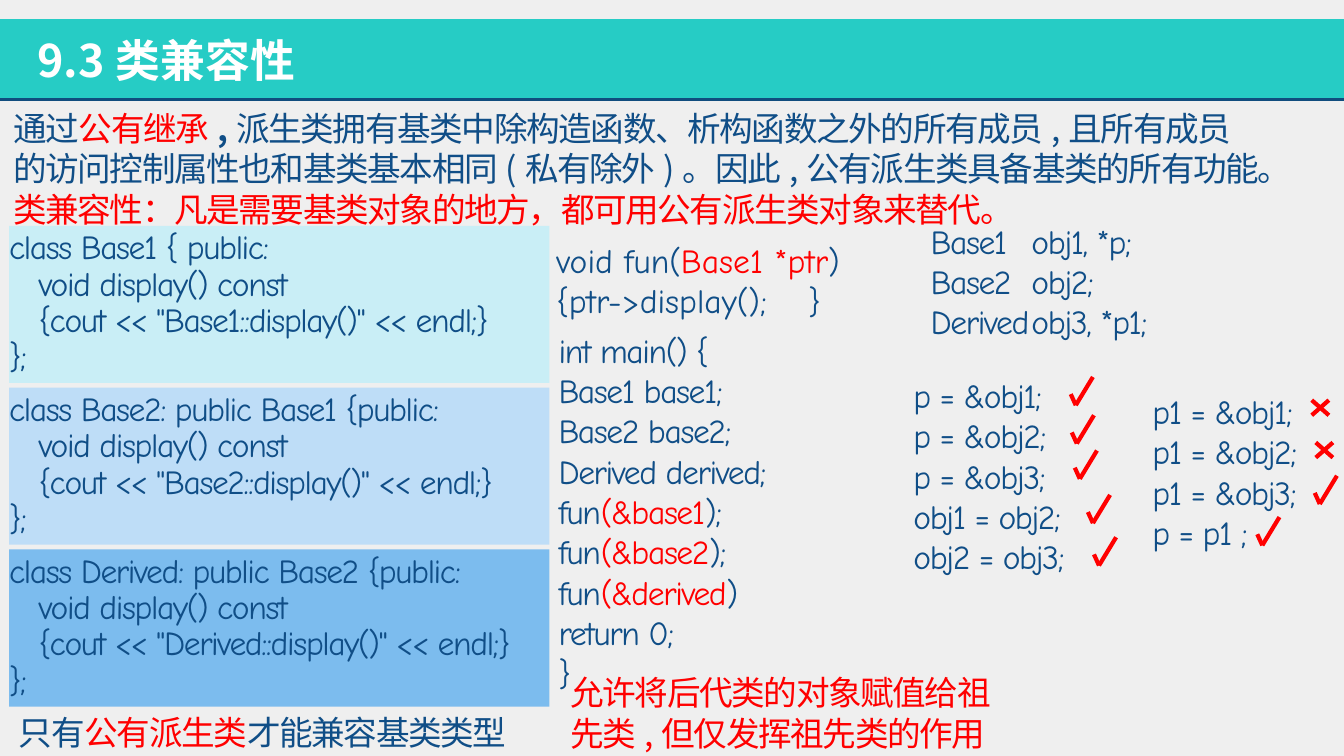
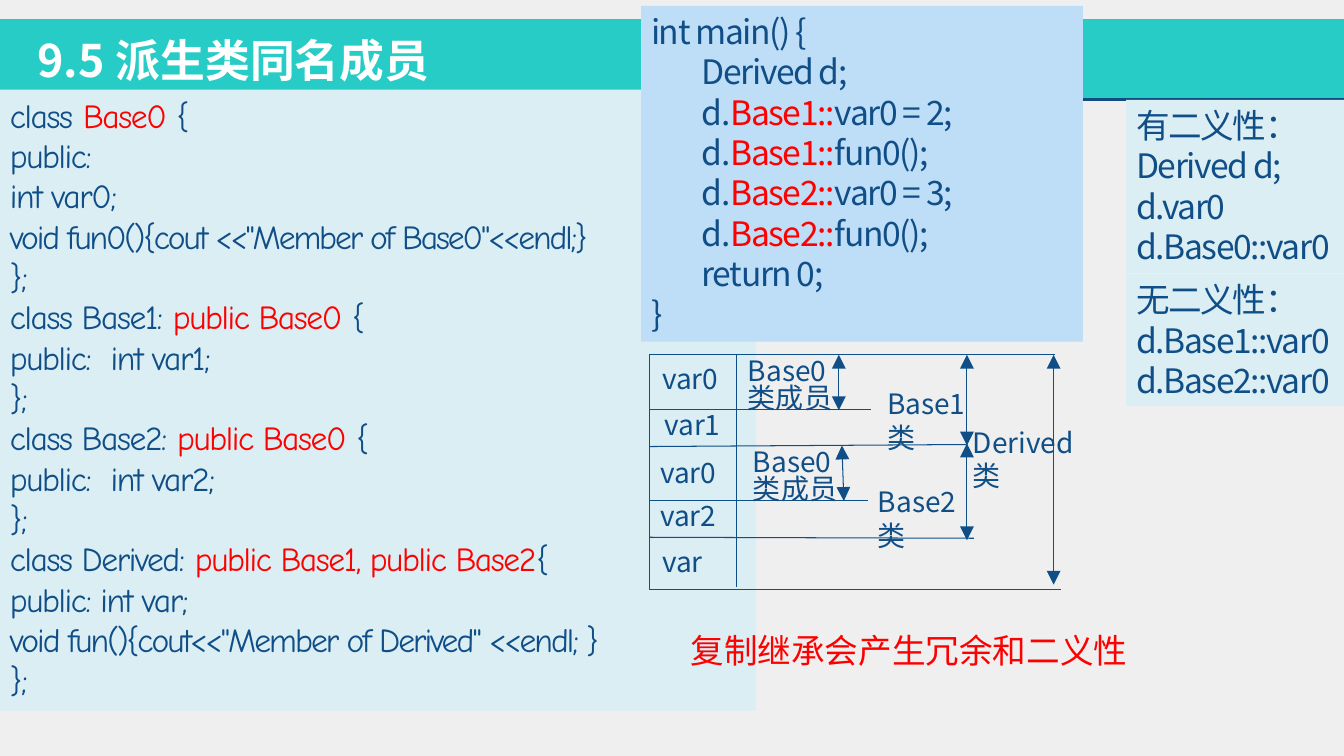
from pptx import Presentation
from pptx.dml.color import RGBColor
from pptx.enum.shapes import MSO_CONNECTOR, MSO_SHAPE
from pptx.enum.text import MSO_ANCHOR, MSO_AUTO_SIZE, PP_ALIGN
from pptx.oxml.ns import qn
from pptx.util import Inches, Pt
from lxml.etree import SubElement

TEAL = RGBColor(0x26, 0xCC, 0xC5)
RULE = RGBColor(0x10, 0x4D, 0x7E)
NAVY = RGBColor(0x10, 0x4E, 0x87)
RED = RGBColor(0xFF, 0x00, 0x00)
WHITE = RGBColor(0xFF, 0xFF, 0xFF)
PAPER = RGBColor(0xEF, 0xEF, 0xEF)
ICE = RGBColor(0xC9, 0xEE, 0xF6)
SKY = RGBColor(0xBE, 0xDD, 0xF7)
BLUE = RGBColor(0x7C, 0xBC, 0xEE)
MIST = RGBColor(0xDB, 0xEE, 0xF4)

CODE = "Comic Neue"
SANS = "Noto Sans CJK JP"
TITLE_ONLY, TITLE_AND_BODY = 5, 1


def box(*lengths):
    return [Inches(v) for v in lengths]


def place(shape, at):
    shape.left, shape.top, shape.width, shape.height = box(*at)


def add_run(p, text, font, size, color, bold, spacing):
    r = p.add_run()
    r.text = text
    r.font.name = font
    r.font.size = Pt(size)
    r.font.bold = bold
    r.font.color.rgb = color
    rPr = r.font._element
    rPr.set("spc", str(round(spacing * 100)))
    ea = SubElement(rPr, qn("a:ea"))
    ea.set("typeface", font)
    rPr.find(qn("a:latin")).addnext(ea)


def split_runs(line):
    if not isinstance(line, str):
        return line
    return [(part, {"color": RED} if i % 2 else {})
            for i, part in enumerate(line.split("|")) if part]


def write(shape, lines, font=CODE, size=24, color=NAVY, bold=False, spacing=-1,
          line_spacing=1.0, margin=0.1, tab=None, anchor=MSO_ANCHOR.TOP):
    tf = shape.text_frame
    tf.word_wrap = True
    tf.auto_size = MSO_AUTO_SIZE.NONE
    tf.vertical_anchor = anchor
    tf.margin_left = tf.margin_right = Inches(margin)
    tf.margin_top = tf.margin_bottom = Inches(0.05)
    for i, line in enumerate(lines):
        p = tf.add_paragraph() if i else tf.paragraphs[0]
        pPr = p._p.get_or_add_pPr()
        pPr.set("marL", "0")
        pPr.set("indent", "0")
        SubElement(pPr, qn("a:buNone"))
        if tab:
            stop = SubElement(SubElement(pPr, qn("a:tabLst")), qn("a:tab"))
            stop.set("pos", str(Inches(tab)))
            stop.set("algn", "l")
        p.alignment = PP_ALIGN.LEFT
        p.space_before = Pt(0)
        p.line_spacing = line_spacing
        base = dict(font=font, size=size, color=color, bold=bold, spacing=spacing)
        for text, change in split_runs(line):
            add_run(p, text, **{**base, **change})


def add_text(shapes, at, lines, **fmt):
    write(shapes.add_textbox(*box(*at)), lines, **fmt)


def add_panel(shapes, at, fill, lines, **fmt):
    panel = shapes.add_shape(MSO_SHAPE.RECTANGLE, *box(*at))
    panel.shadow.inherit = False
    panel.fill.solid()
    panel.fill.fore_color.rgb = fill
    panel.line.fill.background()
    write(panel, lines, **fmt)


def add_line(shapes, start, end, color=NAVY, width=0.75, arrows=False):
    line = shapes.add_connector(MSO_CONNECTOR.STRAIGHT, *box(*start, *end))
    line.line.color.rgb = color
    line.line.width = Pt(width)
    if arrows:
        ln = line.line._get_or_add_ln()
        for tag in ("a:headEnd", "a:tailEnd"):
            head = SubElement(ln, qn(tag))
            head.set("type", "triangle")
            head.set("w", "lg")
            head.set("len", "lg")
    SubElement(line._element.spPr, qn("a:effectLst"))


def add_mark(s, left, top, strokes):
    group = s.shapes.add_group_shape()
    for x1, y1, x2, y2 in strokes:
        add_line(group.shapes, (left + x1, top + y1), (left + x2, top + y2),
                 color=RED, width=3)


def add_tick(s, left, top):
    add_mark(s, left, top, [(0, 0.17, 0.05, 0.28), (0.05, 0.28, 0.22, 0)])


def add_cross(s, left, top):
    add_mark(s, left, top, [(0, 0, 0.17, 0.15), (0.17, 0, 0, 0.15)])


def add_titled_slide(prs, layout, title):
    s = prs.slides.add_slide(prs.slide_layouts[layout])
    band = s.shapes.title
    place(band, (0, 0.19, 13.33, 0.8))
    band.fill.solid()
    band.fill.fore_color.rgb = TEAL
    write(band, [title], font=SANS, size=32, color=WHITE, bold=True, spacing=0,
          margin=0.37, anchor=MSO_ANCHOR.MIDDLE)
    add_line(s.shapes, (0, 0.99), (13.33, 0.99), color=RULE, width=2)
    return s


def build_compatibility(prs):
    s = add_titled_slide(prs, TITLE_AND_BODY, "9.3类兼容性")
    intro = s.placeholders[1]
    place(intro, (0.03, 1.02, 12.58, 1.31))
    write(intro, [
        [("通过", {}), ("公有继承", {"color": RED}), (",", {"bold": True}),
         ("派生类拥有基类中除构造函数、析构函数之外的所有成员,且所有成员的访问控制属性"
          "也和基类基本相同(私有除外)。因此,公有派生类具备基类的所有功能。", {})],
        "|类兼容性：凡是需要基类对象的地方，都可用公有派生类对象来替代。",
    ], font=SANS)

    classes = [("Base1", " {", " ", ICE), ("Base2", ": public Base1 {", "", SKY),
               ("Derived", ": public Base2 {", "", BLUE)]
    for i, (name, header, gap, fill) in enumerate(classes):
        add_panel(s.shapes, (0.09, 2.24 + 1.605 * i, 5.36, 1.56), fill, [
            f"class {name}{header}{gap}public:",
            "   void display() const",
            f"   {{cout << \"{name}::display()\" << endl;}}",
            "};",
        ], line_spacing=0.9, margin=0)

    add_text(s.shapes, (5.42, 2.33, 3.74, 0.91),
             ["void fun(|Base1 *ptr|)", "{ptr->display();\t}"], spacing=0, tab=2.68)
    add_text(s.shapes, (5.54, 3.22, 3.1, 3.74), [
        "int main() {", "Base1 base1;", "Base2 base2;", "Derived derived;",
        "fun|(&base1|);", "fun|(&base2|);", "fun|(&derived|)", "return 0;", "}",
    ], margin=0)
    add_text(s.shapes, (9.23, 2.14, 3.78, 1.31),
             ["Base1\tobj1, *p;", "Base2\tobj2;", "Derived\tobj3, *p1;"],
             margin=0, tab=1.42)
    add_text(s.shapes, (9.06, 3.67, 1.96, 2.12), [
        "p = &obj1;", "p = &obj2;", "p = &obj3;", "obj1 = obj2;", "obj2 = obj3;",
    ], margin=0)
    add_text(s.shapes, (11.43, 3.83, 1.9, 1.72),
             ["p1 = &obj1;", "p1 = &obj2;", "p1 = &obj3;", "p = p1 ;"], margin=0)

    for left, top in [(10.62, 3.74), (10.63, 4.12), (10.66, 4.47), (10.79, 4.91),
                      (10.85, 5.33), (13.04, 4.72), (12.47, 5.13)]:
        add_tick(s, left, top)
    for left, top in [(13.01, 3.97), (13.05, 4.39)]:
        add_cross(s, left, top)

    add_text(s.shapes, (0.09, 7.01, 5.2, 0.49),
             ["只有|公有派生类|才能兼容基类类型"], font=SANS)
    add_text(s.shapes, (5.56, 6.62, 4.46, 0.88),
             ["允许将后代类的对象赋值给祖先类,但仅发挥祖先类的作用"],
             font=SANS, color=RED)


def add_memory_diagram(s):
    shapes = s.shapes.add_group_shape().shapes
    left, top, bottom = 6.44, 3.52, 5.85
    outline = shapes.build_freeform(*box(10.46, top), scale=1.0)
    outline.add_line_segments(
        [box(left, top), box(left, bottom), box(10.52, bottom)], close=False)
    frame = outline.convert_to_shape()
    frame.shadow.inherit = False
    frame.fill.background()
    frame.line.color.rgb = NAVY
    frame.line.width = Pt(0.75)

    add_line(shapes, (7.3, top), (7.3, 5.82))
    for right, y, y_end in [(8.64, 4.06, 4.06), (9.59, 4.43, 4.41),
                            (8.61, 4.97, 4.97), (9.66, 5.33, 5.34)]:
        add_line(shapes, (left, y), (right, y_end))
    for x, y, x_end, y_end in [(8.32, top, 8.32, 4.07), (8.35, 4.42, 8.37, 4.97),
                               (9.59, top, 9.59, 4.42), (9.59, 4.4, 9.59, 5.36),
                               (10.45, top, 10.45, 5.8)]:
        add_line(shapes, (x, y), (x_end, y_end), arrows=True)

    label = dict(font=SANS, size=20, spacing=0)
    for name, x, y, width in [
            ("var0", 6.47, 3.54, 0.97), ("var1", 6.49, 3.99, 1.03),
            ("var0", 6.45, 4.47, 0.9), ("var2", 6.45, 4.9, 0.9),
            ("var", 6.47, 5.35, 0.84), ("Base1类", 8.7, 3.79, 1.26),
            ("Base2类", 8.61, 4.76, 1.3), ("Derived类", 9.55, 4.17, 1.51)]:
        add_text(shapes, (x, y, width, 0.44), [name], **label)
    for x, y in [(7.32, 3.52), (7.37, 4.43)]:
        add_text(shapes, (x, y, 1.1, 0.66), ["Base0", "类成员"],
                 line_spacing=0.8, **label)


def build_same_name_members(prs):
    s = add_titled_slide(prs, TITLE_ONLY, "9.5派生类同名成员")
    add_panel(s.shapes, (0, 0.89, 7.5, 6.16), MIST, [
        "class |Base0 |{", "public:", "int var0;",
        [("void fun0(){cout <<\"Member of Base0\"<<endl;}", {"spacing": -1.5})],
        "};",
        "class Base1: |public Base0 |{", "public:\tint var1;", "};",
        "class Base2: |public Base0 |{", "public:\tint var2;", "};",
        "class Derived: |public Base1, public Base2|{", "public: int var;",
        [("void fun(){cout<<\"Member of Derived\" <<endl; }", {"spacing": -1.4})],
        "};",
    ], tab=1.01)
    add_panel(s.shapes, (6.36, 0.06, 4.38, 3.33), SKY, [
        "int main() {", "\tDerived d;",
        "\td.|Base1::|var0 = 2;", "\td.|Base1::|fun0();",
        "\td.|Base2::|var0 = 3;", "\td.|Base2::|fun0();",
        "\treturn 0;", "}",
    ], font=SANS, tab=0.67)
    add_memory_diagram(s)
    add_panel(s.shapes, (11.17, 0.99, 2.16, 1.72), MIST,
              ["有二义性：", "Derived d;", "d.var0", "d.Base0::var0"], font=SANS)
    add_panel(s.shapes, (11.17, 2.72, 2.16, 1.31), MIST,
              ["无二义性：", "d.Base1::var0", "d.Base2::var0"], font=SANS)
    add_text(s.shapes, (6.75, 6.2, 5.61, 0.5), ["复制继承会产生冗余和二义性"],
             font=SANS, color=RED, spacing=0)


def main():
    prs = Presentation()
    prs.slide_width, prs.slide_height = box(13.33, 7.5)
    fill = prs.slide_master.background.fill
    fill.solid()
    fill.fore_color.rgb = PAPER
    build_compatibility(prs)
    build_same_name_members(prs)
    prs.save("out.pptx")


if __name__ == "__main__":
    main()
